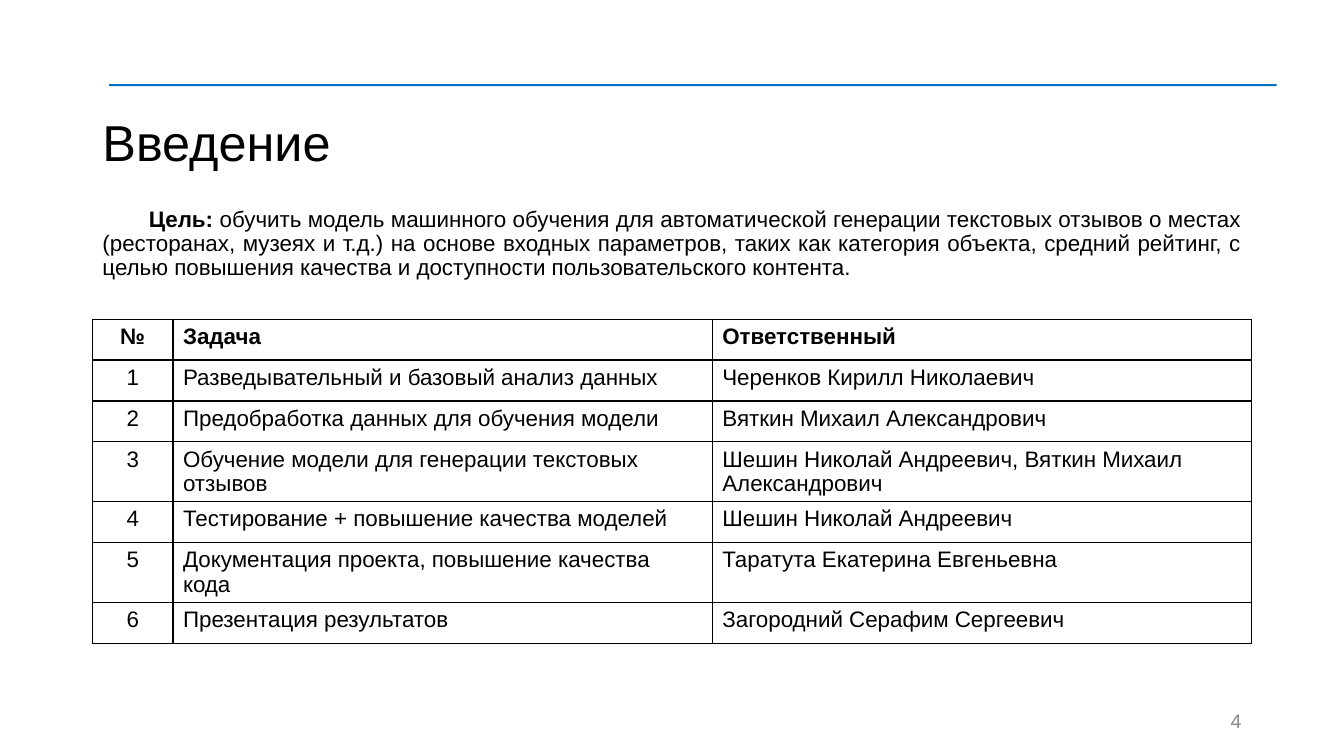
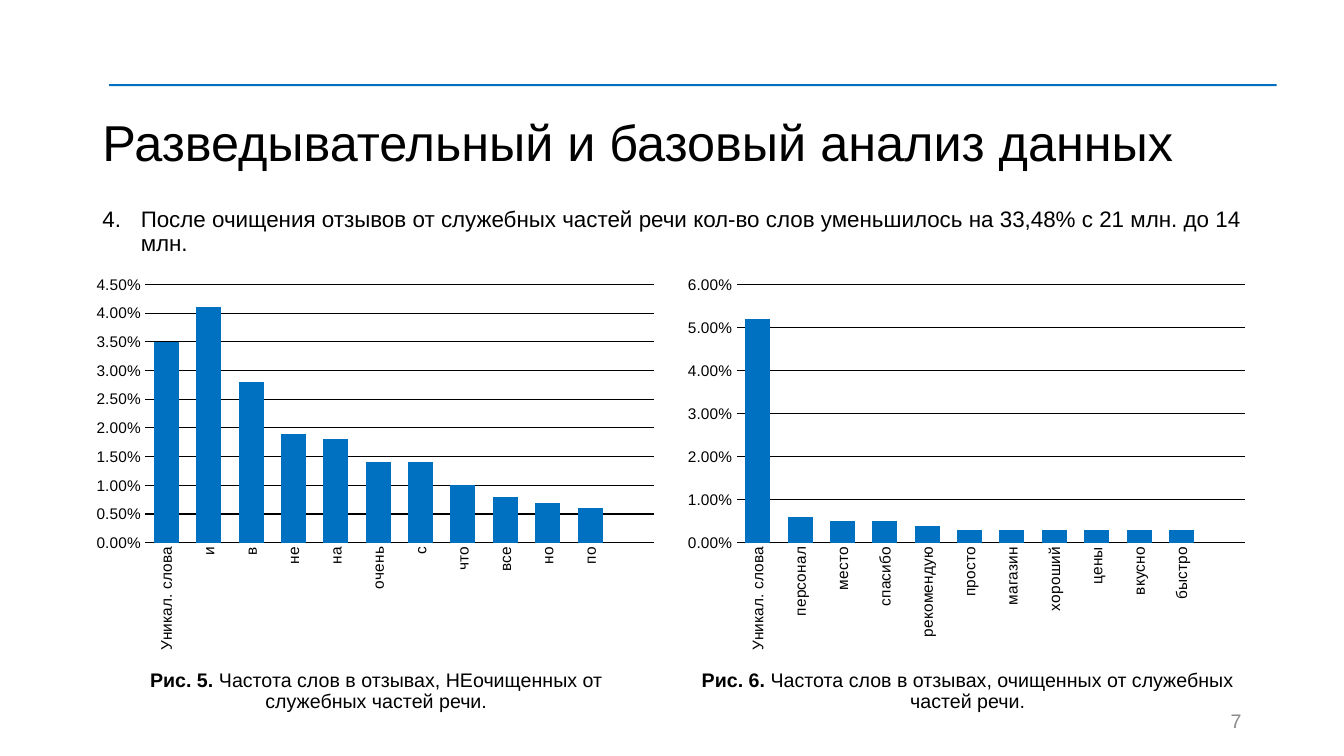
from lxml import etree
from pptx import Presentation
from pptx.chart.data import CategoryChartData
from pptx.dml.color import RGBColor
from pptx.enum.chart import XL_CHART_TYPE, XL_TICK_MARK
from pptx.enum.shapes import MSO_SHAPE
from pptx.enum.text import MSO_ANCHOR, MSO_AUTO_SIZE, PP_ALIGN
from pptx.oxml.ns import qn
from pptx.util import Inches, Pt

LEFT, CENTER, RIGHT, JUSTIFY = PP_ALIGN.LEFT, PP_ALIGN.CENTER, PP_ALIGN.RIGHT, PP_ALIGN.JUSTIFY
TOP, MIDDLE = MSO_ANCHOR.TOP, MSO_ANCHOR.MIDDLE
NO_AUTOFIT = MSO_AUTO_SIZE.NONE
RECTANGLE = MSO_SHAPE.RECTANGLE
COLUMNS_CHART = XL_CHART_TYPE.COLUMN_CLUSTERED
NO_TICKS = XL_TICK_MARK.NONE

BLUE = RGBColor(0x00, 0x70, 0xC0)
BLACK = RGBColor(0x00, 0x00, 0x00)
GRAY = RGBColor(0x8C, 0x8C, 0x8C)

FONT = "Arial"
GRID_COLUMNS, GRID_ROWS = 160, 90
UNIT = Inches(1) / 12
MARGIN, CONTENT_WIDTH = 11, 138
FIGURE_LEFT, FIGURE_WIDTH, FIGURE_STEP = 10.4, 68.8, 70.4
PLOT_SHARES = {"x": 0.1, "y": 0.04, "w": 0.88, "h": 0.66}


def grid(*cells):
    return [round(cell * UNIT) for cell in cells]


class Deck:
    def __init__(self):
        self.presentation = Presentation()
        self.presentation.slide_width, self.presentation.slide_height = grid(GRID_COLUMNS, GRID_ROWS)
        self.slide = None

    def style(self, font, size, color=BLACK, bold=False):
        font.name, font.size, font.bold = FONT, Pt(size), bold
        font.color.rgb = color

    def fill_text(self, frame, pieces, size, align=LEFT, color=BLACK, anchor=TOP, leading=0.9, before=0):
        frame.word_wrap = True
        frame.auto_size = NO_AUTOFIT
        frame.vertical_anchor = anchor
        paragraph = frame.paragraphs[0]
        paragraph.alignment = align
        paragraph.line_spacing = leading
        paragraph.space_before = Pt(before)
        for words, bold in pieces:
            run = paragraph.add_run()
            run.text = words
            self.style(run.font, size, color, bold)
        return paragraph

    def place(self, shape, *cells):
        shape.left, shape.top, shape.width, shape.height = grid(*cells)

    def start(self, title, number):
        self.slide = self.presentation.slides.add_slide(self.presentation.slide_layouts[1])
        rule = self.slide.shapes.add_shape(RECTANGLE, *grid(13, 10, 139, 0.25))
        rule.shadow.inherit = False
        rule.fill.solid()
        rule.fill.fore_color.rgb = BLUE
        rule.line.fill.background()
        heading = self.slide.shapes.title
        self.place(heading, MARGIN, 10.4, CONTENT_WIDTH, 13.7)
        self.fill_text(heading.text_frame, [(title, False)], 36, anchor=MIDDLE)
        page = self.slide.shapes.add_textbox(*grid(113, 83.4, 36, 4.8))
        self.fill_text(page.text_frame, [(str(number), False)], 14, RIGHT, GRAY, MIDDLE, 1)

    def body(self, pieces, margin, indent, start_at=None):
        holder = self.slide.placeholders[1]
        self.place(holder, MARGIN, 24.2, CONTENT_WIDTH, 56.8)
        paragraph = self.fill_text(holder.text_frame, pieces, 16, JUSTIFY, before=10)
        properties = paragraph._p.get_or_add_pPr()
        properties.set("marL", str(Inches(margin)))
        properties.set("indent", str(Inches(indent)))
        if start_at is None:
            etree.SubElement(properties, qn("a:buNone"))
        else:
            etree.SubElement(properties, qn("a:buAutoNum"), type="arabicPeriod", startAt=str(start_at))

    def table(self, rows, top, widths, row_height):
        frame = self.slide.shapes.add_table(
            len(rows), len(widths), *grid(MARGIN, top, sum(widths), row_height * len(rows)))
        table = frame.table
        for column, width in zip(table.columns, grid(*widths)):
            column.width = width
        for r, texts in enumerate(rows):
            table.rows[r].height = grid(row_height)[0]
            for c, words in enumerate(texts):
                cell = table.cell(r, c)
                paragraph = cell.text_frame.paragraphs[0]
                paragraph.text = words
                paragraph.alignment = LEFT if c else CENTER
                self.style(paragraph.runs[0].font, 16, bold=r == 0)
                self.borders(cell)
                cell.fill.background()

    def borders(self, cell):
        properties = cell._tc.get_or_add_tcPr()
        for side in ("lnL", "lnR", "lnT", "lnB"):
            line = etree.SubElement(properties, qn(f"a:{side}"), w=str(Pt(1)))
            fill = etree.SubElement(line, qn("a:solidFill"))
            etree.SubElement(fill, qn("a:srgbClr"), val=str(BLACK))

    def chart(self, column, categories, values, overlap, maximum, step):
        data = CategoryChartData(number_format="0.00%")
        data.categories = [*categories, ""]
        data.add_series("Series 1", [*values, None])
        left = FIGURE_LEFT + column * FIGURE_STEP
        chart = self.slide.shapes.add_chart(
            COLUMNS_CHART, *grid(left, 32, FIGURE_WIDTH, 46.6), data).chart
        chart.has_legend = chart.has_title = False
        plot = chart.plots[0]
        plot.gap_width, plot.overlap, plot.vary_by_categories = 70, overlap, False
        bars = plot.series[0].format.fill
        bars.solid()
        bars.fore_color.rgb = BLUE
        words_axis, share_axis = chart.category_axis, chart.value_axis
        for axis in (words_axis, share_axis):
            axis.major_tick_mark = axis.minor_tick_mark = NO_TICKS
            self.style(axis.tick_labels.font, 11)
        share_axis.minimum_scale, share_axis.maximum_scale = 0, maximum
        share_axis.major_unit = step
        share_axis.tick_labels.number_format = "0.00%"
        share_axis.tick_labels.number_format_is_linked = False
        share_axis.format.line.fill.background()
        for line in (words_axis.format.line, share_axis.major_gridlines.format.line):
            line.color.rgb = BLACK
            line.width = Pt(0.75)
        self.fit_plot(chart)

    def fit_plot(self, chart):
        area = chart._chartSpace.find(".//" + qn("c:plotArea"))
        labels = area.find(f"{qn('c:catAx')}/{qn('c:txPr')}/{qn('a:bodyPr')}")
        labels.set("rot", "-5400000")
        labels.set("vert", "horz")
        for automatic in area.findall(qn("c:layout")):
            area.remove(automatic)
        layout = etree.Element(qn("c:layout"))
        area.insert(0, layout)
        manual = etree.SubElement(layout, qn("c:manualLayout"))
        settings = {"layoutTarget": "inner", "xMode": "edge", "yMode": "edge", **PLOT_SHARES}
        for tag, value in settings.items():
            etree.SubElement(manual, qn(f"c:{tag}"), val=str(value))

    def caption(self, column, label, words):
        left = FIGURE_LEFT + column * FIGURE_STEP
        box = self.slide.shapes.add_textbox(*grid(left, 79.2, FIGURE_WIDTH, 7))
        self.fill_text(box.text_frame, [(label, True), (words, False)], 14, CENTER, before=10)


def main():
    deck = Deck()

    deck.start("Введение", 4)
    goal = ("обучить модель машинного обучения для автоматической генерации текстовых отзывов "
            "о местах (ресторанах, музеях и т.д.) на основе входных параметров, таких как категория "
            "объекта, средний рейтинг, с целью повышения качества и доступности пользовательского контента.")
    deck.body([("Цель:", True), (" " + goal, False)], 0, 0.46)
    tasks = [
        ("Разведывательный и базовый анализ данных", "Черенков Кирилл Николаевич"),
        ("Предобработка данных для обучения модели", "Вяткин Михаил Александрович"),
        ("Обучение модели для генерации текстовых отзывов",
         "Шешин Николай Андреевич, Вяткин Михаил Александрович"),
        ("Тестирование + повышение качества моделей", "Шешин Николай Андреевич"),
        ("Документация проекта, повышение качества кода", "Таратута Екатерина Евгеньевна"),
        ("Презентация результатов", "Загородний Серафим Сергеевич"),
    ]
    numbered = [(str(number), *task) for number, task in enumerate(tasks, 1)]
    deck.table([("№", "Задача", "Ответственный"), *numbered], 38, (9.6, 64.2, 64.2), 4.87)

    deck.start("Разведывательный и базовый анализ данных", 7)
    finding = ("После очищения отзывов от служебных частей речи кол-во слов уменьшилось "
               "на 33,48% с 21 млн. до 14 млн.")
    deck.body([(finding, False)], 0.38, -0.38, start_at=4)
    figures = [
        ("Рис. 5. ", "Частота слов в отзывах, НЕочищенных от служебных частей речи.",
         ("Уникал. слова", "и", "в", "не", "на", "очень", "с", "что", "все", "но", "по"),
         (0.035, 0.041, 0.028, 0.019, 0.018, 0.014, 0.014, 0.01, 0.008, 0.007, 0.006),
         -21, 0.045, 0.005),
        ("Рис. 6. ", "Частота слов в отзывах, очищенных от служебных частей речи.",
         ("Уникал. слова", "персонал", "место", "спасибо", "рекомендую", "просто",
          "магазин", "хороший", "цены", "вкусно", "быстро"),
         (0.052, 0.006, 0.005, 0.005, 0.004, 0.003, 0.003, 0.003, 0.003, 0.003, 0.003),
         -27, 0.06, 0.01),
    ]
    for column, (label, words, *chart) in enumerate(figures):
        deck.chart(column, *chart)
        deck.caption(column, label, words)

    deck.presentation.save("out.pptx")


if __name__ == "__main__":
    main()
